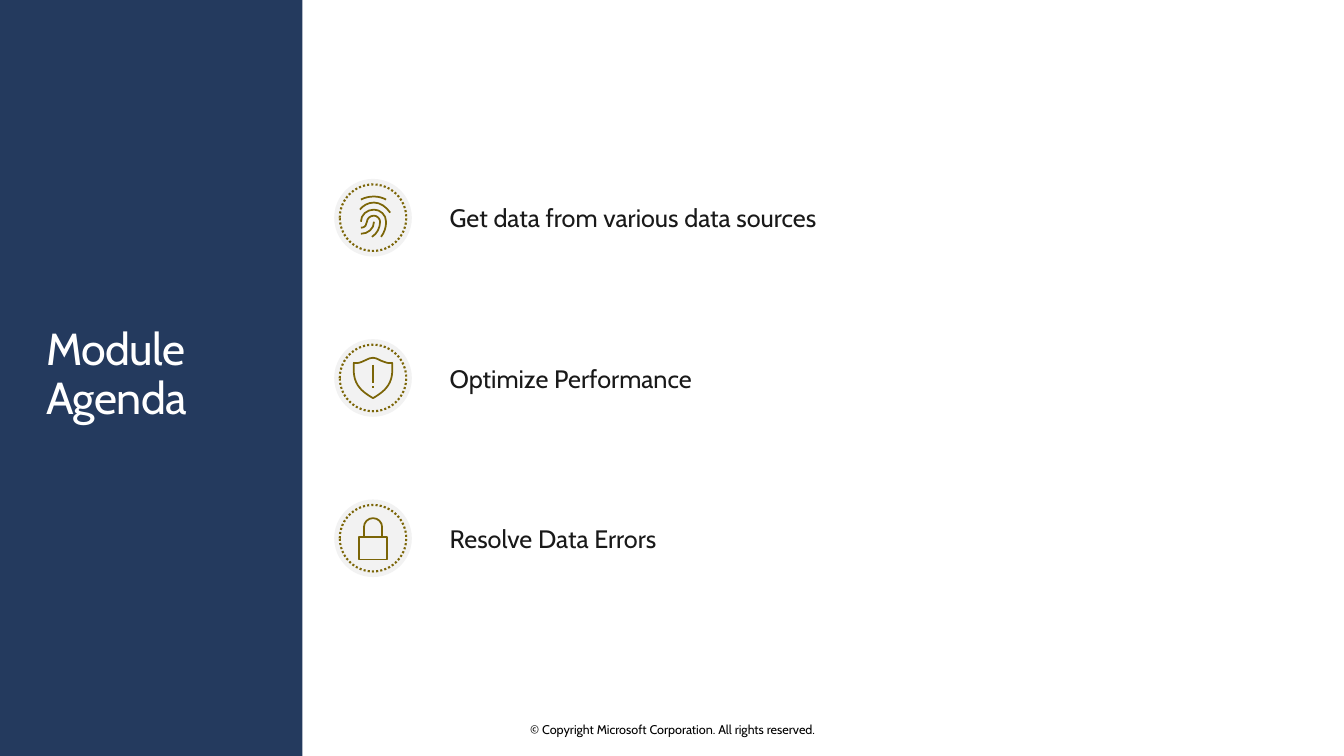
"""Build the module agenda slide with three icon rows beside a dark title panel."""
import dataclasses

import lxml.etree
import pptx
import pptx.dml.color
import pptx.enum.dml
import pptx.enum.shapes
import pptx.enum.text
import pptx.oxml.ns
import pptx.util

Inches = pptx.util.Inches
Pt = pptx.util.Pt
Align = pptx.enum.text.PP_ALIGN
Shape = pptx.enum.shapes.MSO_SHAPE
qn = pptx.oxml.ns.qn


@dataclasses.dataclass(frozen=True)
class Theme:
    font: str = "Cabin"
    navy: str = "243A5E"
    disc: str = "F2F2F2"
    gold: str = "7B6507"
    ink: str = "191919"
    white: str = "FFFFFF"
    black: str = "000000"
    title: int = 32
    body: int = 18
    footer: int = 9
    ring: float = 1.5
    icon: float = 1.25


theme = Theme()


def set_text(shape, text, size, color, align=Align.LEFT, insets=(0, 0, 0, 0)):
    frame = shape.text_frame
    frame_format = {
        "word_wrap": True,
        "auto_size": pptx.enum.text.MSO_AUTO_SIZE.NONE,
        "vertical_anchor": pptx.enum.text.MSO_ANCHOR.MIDDLE,
    }
    for side, inset in zip(("left", "top", "right", "bottom"), insets):
        frame_format[f"margin_{side}"] = Inches(inset)
    for name, value in frame_format.items():
        setattr(frame, name, value)
    frame.text = text
    para = frame.paragraphs[0]
    para.alignment = align
    for span in para.runs:
        for name, value in {"name": theme.font, "size": Pt(size)}.items():
            setattr(span.font, name, value)
        span.font.color.rgb = pptx.dml.color.RGBColor.from_string(color)
    return para


def paint(shape, fill=None, line=None, width=0):
    shape.shadow.inherit = False
    if fill:
        shape.fill.solid()
        shape.fill.fore_color.rgb = pptx.dml.color.RGBColor.from_string(fill)
    else:
        shape.fill.background()
    if line:
        shape.line.color.rgb = pptx.dml.color.RGBColor.from_string(line)
        shape.line.width = Pt(width)
    else:
        shape.line.fill.background()


# Strokes are in hundredths of an inch from the disc centre: a start point,
# then line ends (x, y) or cubic curves (x1, y1, x2, y2, x, y).
fingerprint = [
    [(1, 4), (1, 11, -5, 16, -12, 16)],
    [(13, -18), (9, -20, 5, -21, 1, -21), (-4, -21, -8, -20, -12, -18)],
    [(17, -5), (13, -11, 7, -15, 1, -15), (-5, -15, -10, -12, -13, -8)],
    [(8, 19), (11, 15, 13, 10, 13, 4), (13, -3, 7, -8, 1, -8),
     (-6, -8, -12, -3, -12, 4)],
    [(-1, 19), (4, 16, 7, 10, 7, 4), (7, 1, 4, -2, 1, -2),
     (-3, -2, -6, 1, -6, 4), (-6, 7, -8, 10, -12, 10)],
]
shield = [
    [(-13, 10), (-20, 2, -19, -8, -19, -8), (-19, -15),
     (-19, -15, -15, -14, -11, -16), (-7, -17, -5, -20, 0, -20),
     (4, -20, 7, -17, 11, -16), (15, -14, 19, -15, 19, -15), (19, -8),
     (19, -8, 20, 2, 13, 10), (9, 15, 0, 20, 0, 20),
     (0, 20, -9, 15, -13, 10)],
    [(0, -13), (0, 5)],
    [(0, 8), (0, 10)],
]
padlock = [
    [(14, 21), (-14, 21), (-14, -1), (14, -1), (14, 21)],
    [(9, -1), (9, -11), (9, -16, 5, -20, 0, -20),
     (-5, -20, -9, -16, -9, -11), (-9, -1)],
]
agenda = [
    ("Get data from various data sources", fingerprint),
    ("Optimize Performance", shield),
    ("Resolve Data Errors", padlock),
]

deck = pptx.Presentation()
deck.slide_width, deck.slide_height = Inches(13.33), Inches(7.5)
page = deck.slides.add_slide(deck.slide_layouts[5])

title = page.shapes.title
title_place = {"left": 0.46, "top": 3.38, "width": 2.14, "height": 0.74}
for name, value in title_place.items():
    setattr(title, name, Inches(value))
heading = set_text(title, "Module\vAgenda", theme.title, theme.white,
                   insets=(0, 0.1, 0.16, 0.15))
heading.line_spacing = 0.9
for span in heading.runs:
    span.font._element.set("spc", "-50")

panel = page.shapes.add_shape(Shape.RECTANGLE, 0, 0, Inches(3), deck.slide_height)
paint(panel, fill=theme.navy)
footer = page.shapes.add_textbox(Inches(4.42), Inches(7.16), Inches(4.5), Inches(0.15))
set_text(footer, "© Copyright Microsoft Corporation. All rights reserved.",
         theme.footer, theme.black, Align.CENTER)
for backdrop in (panel, footer):
    title.element.addprevious(backdrop.element)

center_x, first_y, row_step = 3.7, 2.16, 1.59
for row, (label, strokes) in enumerate(agenda):
    center_y = first_y + row * row_step
    box = page.shapes.add_textbox(Inches(4.46), Inches(center_y - 0.67),
                                  Inches(8.42), Inches(1.34))
    set_text(box, label, theme.body, theme.ink)

    badge = page.shapes.add_group_shape().shapes
    disc, ring = [
        badge.add_shape(Shape.OVAL, Inches(center_x - size / 2),
                        Inches(center_y - size / 2), Inches(size), Inches(size))
        for size in (0.77, 0.66)
    ]
    paint(disc, fill=theme.disc)
    paint(ring, line=theme.gold, width=theme.ring)
    ring.line.dash_style = pptx.enum.dml.MSO_LINE.ROUND_DOT

    builder = None
    for start, *segments in strokes:
        controls = [start]
        for segment in segments:
            curve = segment * 3 if len(segment) == 2 else segment
            controls += zip(curve[::2], curve[1::2])
        points = [(Inches(center_x + x / 100), Inches(center_y + y / 100))
                  for x, y in controls]
        if builder is None:
            builder = badge.build_freeform(*points[0])
        else:
            builder.move_to(*points[0])
        builder.add_line_segments(points[1:], close=points[0] == points[-1])
    icon = builder.convert_to_shape()
    paint(icon, line=theme.gold, width=theme.icon)

    lines = list(icon.element.iter(qn("a:lnTo")))
    for trio in zip(lines[::3], lines[1::3], lines[2::3]):
        cubic = lxml.etree.Element(qn("a:cubicBezTo"))
        trio[0].addprevious(cubic)
        for line in trio:
            cubic.append(line[0])
            line.getparent().remove(line)

deck.save("out.pptx")
